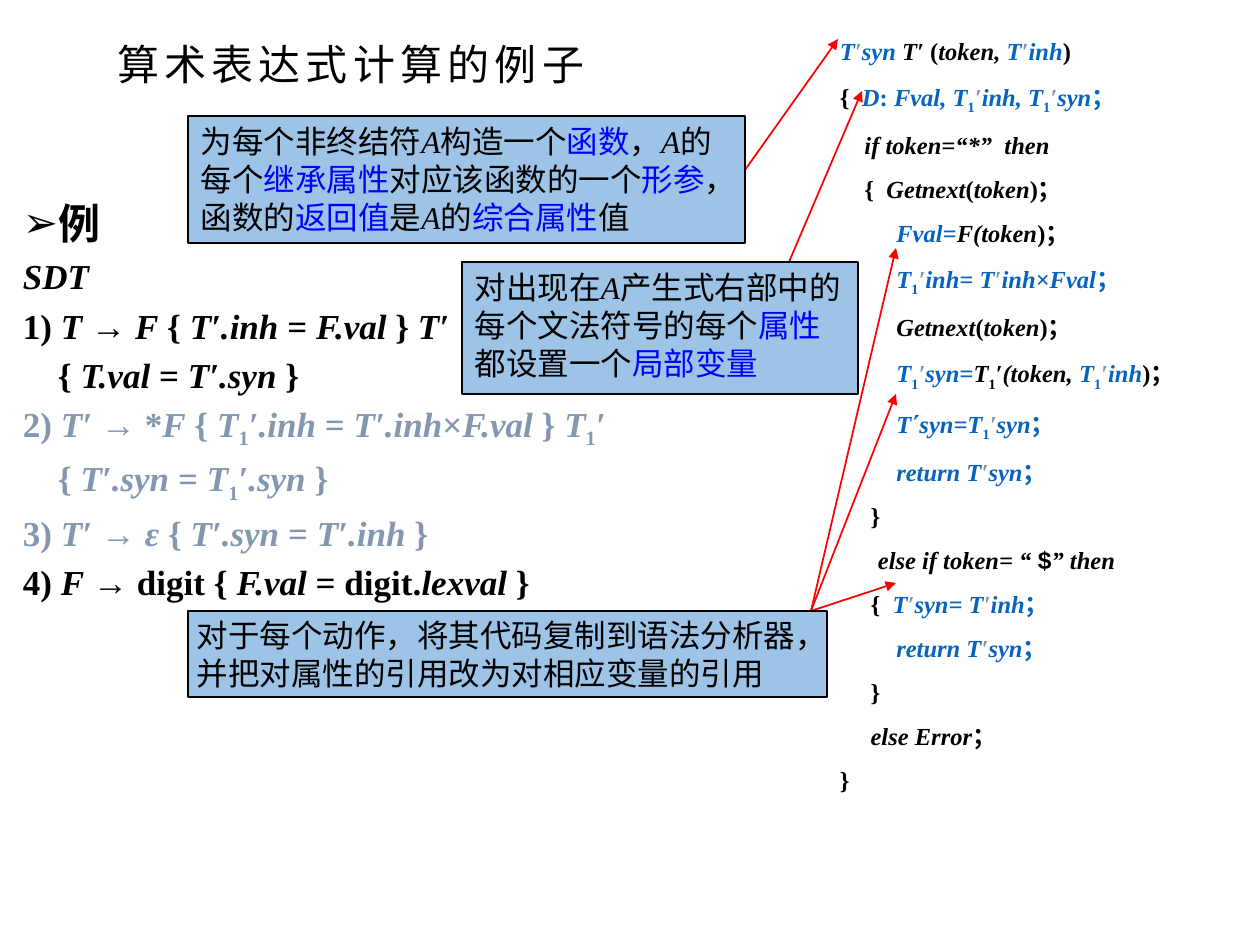
"""Build the slide on turning a translation scheme into a recursive-descent parser."""
from itertools import groupby

from lxml import etree
from pptx import Presentation
from pptx.dml.color import RGBColor
from pptx.enum.shapes import MSO_CONNECTOR, MSO_SHAPE
from pptx.enum.text import MSO_ANCHOR, MSO_AUTO_SIZE, PP_ALIGN
from pptx.oxml.ns import qn
from pptx.util import Emu, Pt

STRAIGHT, RECTANGLE = MSO_CONNECTOR.STRAIGHT, MSO_SHAPE.RECTANGLE
TOP, LEFT, FIXED = MSO_ANCHOR.TOP, PP_ALIGN.LEFT, MSO_AUTO_SIZE.NONE
TITLE_ONLY = 5
PX = 914400 / 126
SERIF, SANS, CJK = "Times New Roman", "Arial", "Noto Sans CJK SC"
BLACK, RED, MUTED, CODE_BLUE, KEY_BLUE, PALE_BLUE = (
    "000000", "FF0000", "8497B0", "0563C1", "0000FF", "9DC3E6")

TITLE = "算术表达式计算的例子"

CODE = [
    "/[T′syn ]T′ /(/token, [T′inh]/)",
    "{  [/D/: /Fval, T₁′inh, T₁′syn/；]",
    "    /if token=“*”  then/",
    "    {  /Getnext/(/token/)；",
    "\t   /[Fval=]F(token/)；",
    "\t   /[T₁′inh= T′inh×Fval/；]",
    "\t   /Getnext/(/token/)；",
    "\t   /[T₁′syn=]T₁′(token, [T₁′inh]/)；",
    "\t   /[T΄syn=T₁′syn/；]",
    "\t   /[return T′syn/；]",
    "     }",
    "\t/else if token= “ $” then/",
    "     {  /[T′syn= T′inh/；]",
    "\t   /[return T′syn/；]",
    "     }",
    "     /else Error/；",
    "}",
]

RULES = [
    ("/SDT/", BLACK),
    ("1) /T /→ /F/ { /T′.inh /= /F.val/ } /T′/", BLACK),
    ("\t{ /T.val /= /T′.syn/ }", BLACK),
    ("2) /T′ /→ */F/ { /T₁′.inh /= /T′.inh/×/F.val/ } /T₁′/", MUTED),
    ("\t{ /T′.syn /= /T₁′.syn/ }", MUTED),
    ("3) /T′ /→ /ε /{ /T′.syn /= /T′.inh/ }", MUTED),
    ("4) /F/ → digit { /F.val/ = digit./lexval/ }", BLACK),
]

NOTES = [
    dict(box=(188, 611, 639, 86), inset=(9, 5), outline=1, font=CJK,
         text="对于每个动作，将其代码复制到语法分析器，并把对属性的引用改为对相应变量的引用",
         start=(811, 611), targets=[(896, 248), (896, 394), (896, 583)]),
    dict(box=(188, 116, 557, 127), inset=(13, 6), outline=0.75, font=SERIF,
         text="为每个非终结符/A/构造一个[函数]，/A/的每个[继承属性]对应该函数的一个[形参]"
              "，函数的[返回值]是/A/的[综合属性]值",
         start=(745, 170), targets=[(838, 39)]),
    dict(box=(462, 262, 396, 132), inset=(13, 6), outline=0.75, font=SERIF,
         text="对出现在/A/产生式右部中的每个文法符号的每个[属性]都设置一个[局部变量]",
         start=(789, 262), targets=[(862, 91)]),
]


def px(length):
    return Emu(round(length * PX))


def rgb(value):
    return RGBColor.from_string(value)


def styled_pieces(markup):
    """Yield uniform stretches of markup: /italic/, [accented], ₁ as a subscript 1."""
    italic = accented = False
    marked = []
    for char in markup:
        if char == "/":
            italic = not italic
        elif char in "[]":
            accented = char == "["
        else:
            special = char if char in "₁$" or (char == "′" and accented) else ""
            marked.append((char, italic and special not in ("₁", "$"), accented, special))
    for style, chars in groupby(marked, key=lambda item: item[1:]):
        yield ("".join(item[0] for item in chars), *style)


def write(paragraph, markup, size, font=SERIF, color=BLACK, accent=KEY_BLUE, bold=False):
    paragraph.alignment = LEFT
    for text, italic, accented, special in styled_pieces(markup):
        run = paragraph.add_run()
        run.text = "1" if special == "₁" else text
        run.font.size, run.font.bold, run.font.italic = Pt(size), bold, italic
        run.font.color.rgb = rgb(MUTED if special == "′" else accent if accented else color)
        run.font.name = SANS if special == "$" else font
        properties = run.font._element
        etree.SubElement(properties, qn("a:ea"), typeface=CJK)
        if special == "₁":
            properties.set("baseline", "-25000")


def prepare(frame, inset):
    frame.word_wrap, frame.auto_size, frame.vertical_anchor = True, FIXED, TOP
    frame.margin_left = frame.margin_right = px(inset[0])
    frame.margin_top = frame.margin_bottom = px(inset[1])


def add_text(slide, box, inset):
    frame = slide.shapes.add_textbox(*map(px, box)).text_frame
    prepare(frame, inset)
    return frame


def hang(paragraph, indent, bullet=None):
    properties = paragraph._p.get_or_add_pPr()
    properties.set("marL", str(px(indent)))
    properties.set("indent", str(-px(indent)))
    if bullet:
        etree.SubElement(properties, qn("a:buFont"), typeface=SANS)
        etree.SubElement(properties, qn("a:buChar"), char=bullet)


def add_arrow(slide, start, end):
    arrow = slide.shapes.add_connector(STRAIGHT, *map(px, start + end))
    arrow.line.color.rgb, arrow.line.width = rgb(RED), Pt(1)
    etree.SubElement(arrow.line._get_or_add_ln(), qn("a:tailEnd"), type="triangle")
    etree.SubElement(arrow._element.spPr, qn("a:effectLst"))


def add_note(slide, note):
    for target in note["targets"]:
        add_arrow(slide, note["start"], target)
    panel = slide.shapes.add_shape(RECTANGLE, *map(px, note["box"]))
    panel.shadow.inherit = False
    panel.fill.solid()
    panel.fill.fore_color.rgb = rgb(PALE_BLUE)
    panel.line.color.rgb, panel.line.width = rgb(BLACK), Pt(note["outline"])
    prepare(panel.text_frame, note["inset"])
    paragraph = panel.text_frame.paragraphs[0]
    paragraph.line_spacing = Pt(21.6)
    write(paragraph, note["text"], 18, note["font"])


def add_title(slide):
    title = slide.shapes.title
    title.left, title.top, title.width, title.height = map(px, (104, 37, 1092, 49))
    prepare(title.text_frame, (13, 6))
    paragraph = title.text_frame.paragraphs[0]
    paragraph.line_spacing = Pt(26)
    write(paragraph, TITLE, 24, CJK)
    paragraph.runs[0].font._element.set("spc", "300")


def add_code(slide):
    frame = add_text(slide, (827, 15, 413, 655), (13, 6))
    for index, line in enumerate(CODE):
        paragraph = frame.add_paragraph() if index else frame.paragraphs[0]
        hang(paragraph, 38)
        paragraph.line_spacing = 1.5
        write(paragraph, line, 14, accent=CODE_BLUE, bold=True)


def add_rules(slide):
    frame = add_text(slide, (14, 194, 626, 417), (9, 5))
    heading = frame.paragraphs[0]
    hang(heading, 35, "➢")
    heading.line_spacing = Pt(28)
    write(heading, "例", 24, CJK, bold=True)
    for rule, color in RULES:
        paragraph = frame.add_paragraph()
        hang(paragraph, 35)
        paragraph.space_before = Pt(4)
        write(paragraph, rule, 20, color=color, bold=True)


def main():
    deck = Presentation()
    deck.slide_width, deck.slide_height = px(1260), px(945)
    slide = deck.slides.add_slide(deck.slide_layouts[TITLE_ONLY])
    add_title(slide)
    add_code(slide)
    for note in NOTES:
        add_note(slide, note)
    add_rules(slide)
    deck.save("out.pptx")


if __name__ == "__main__":
    main()
